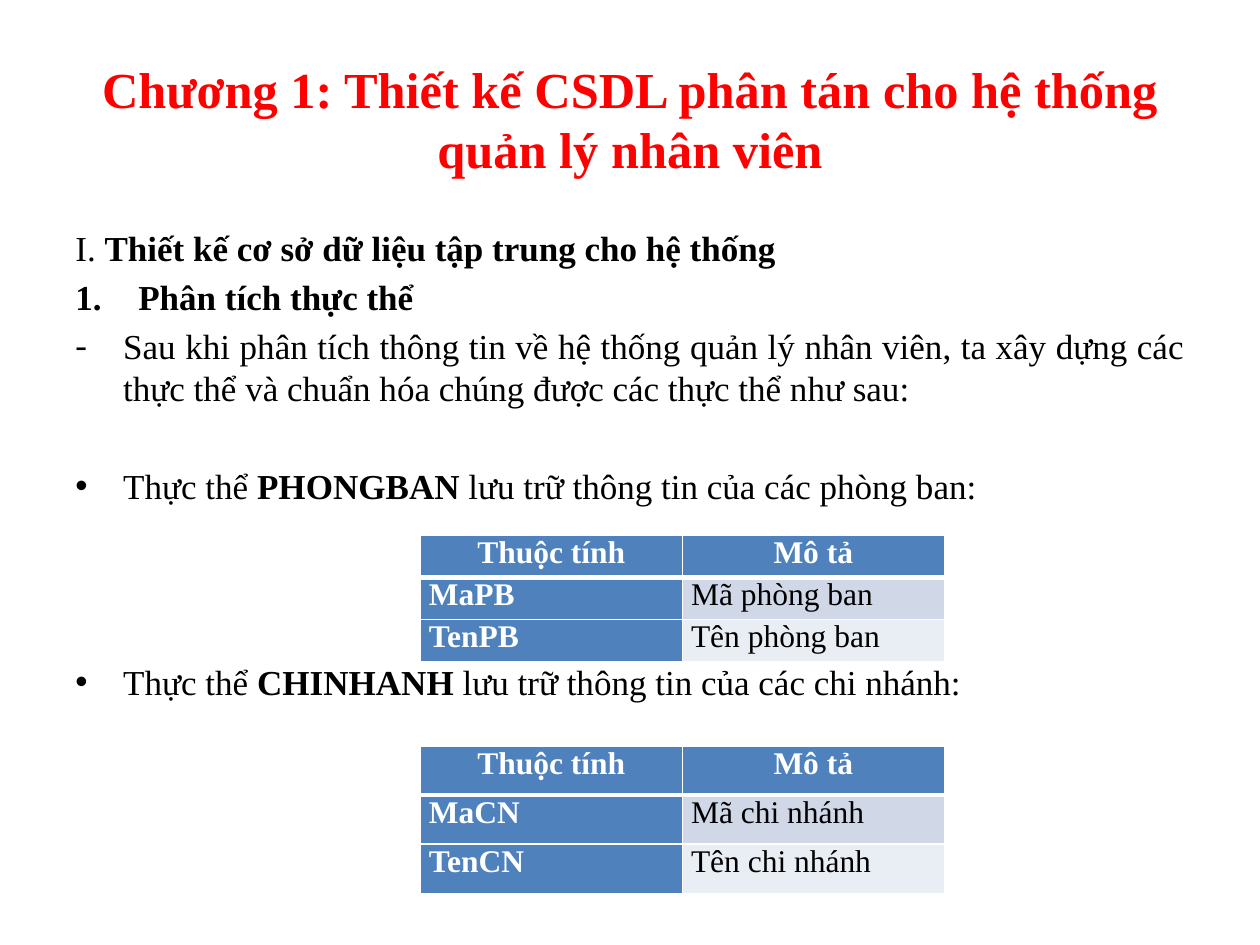
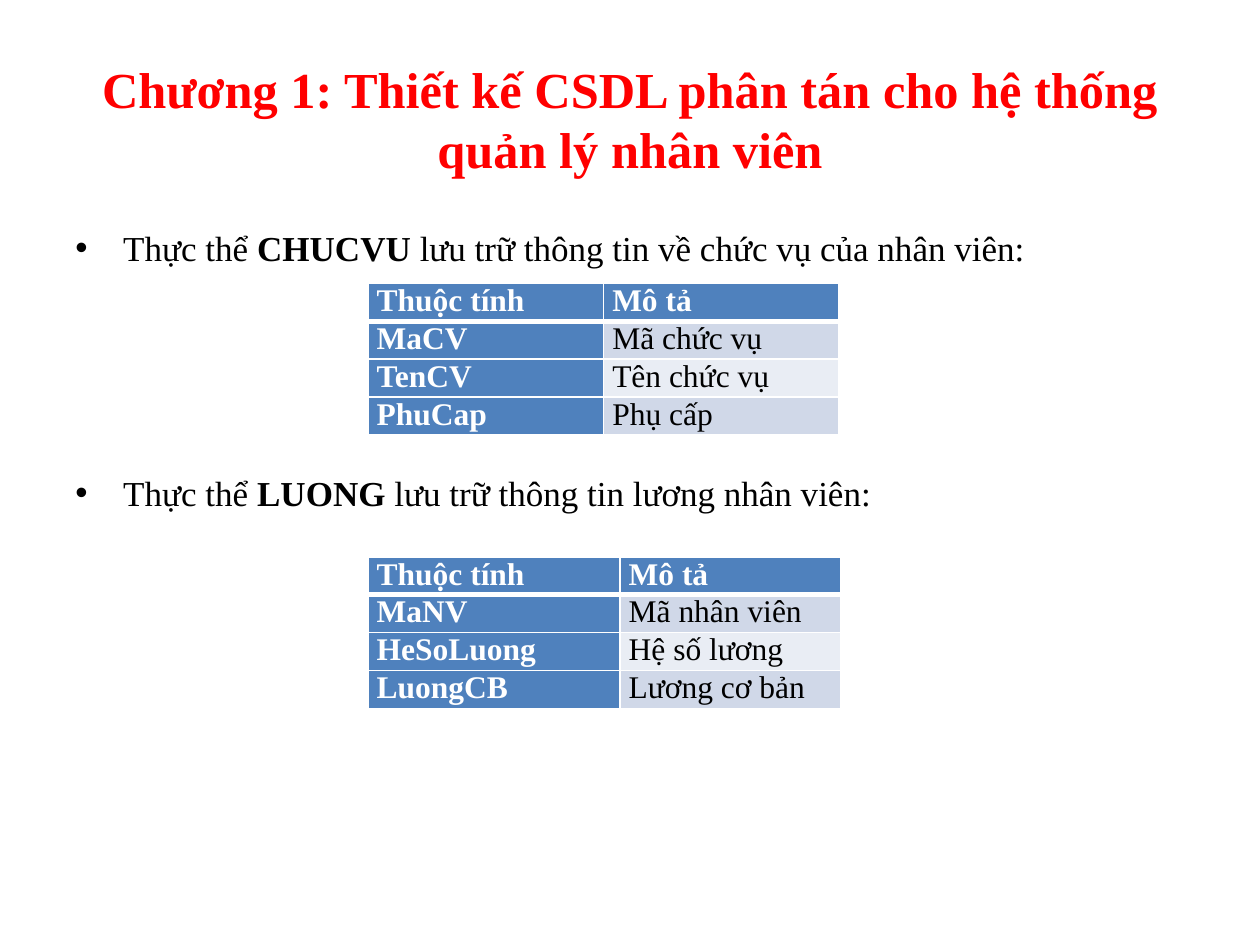
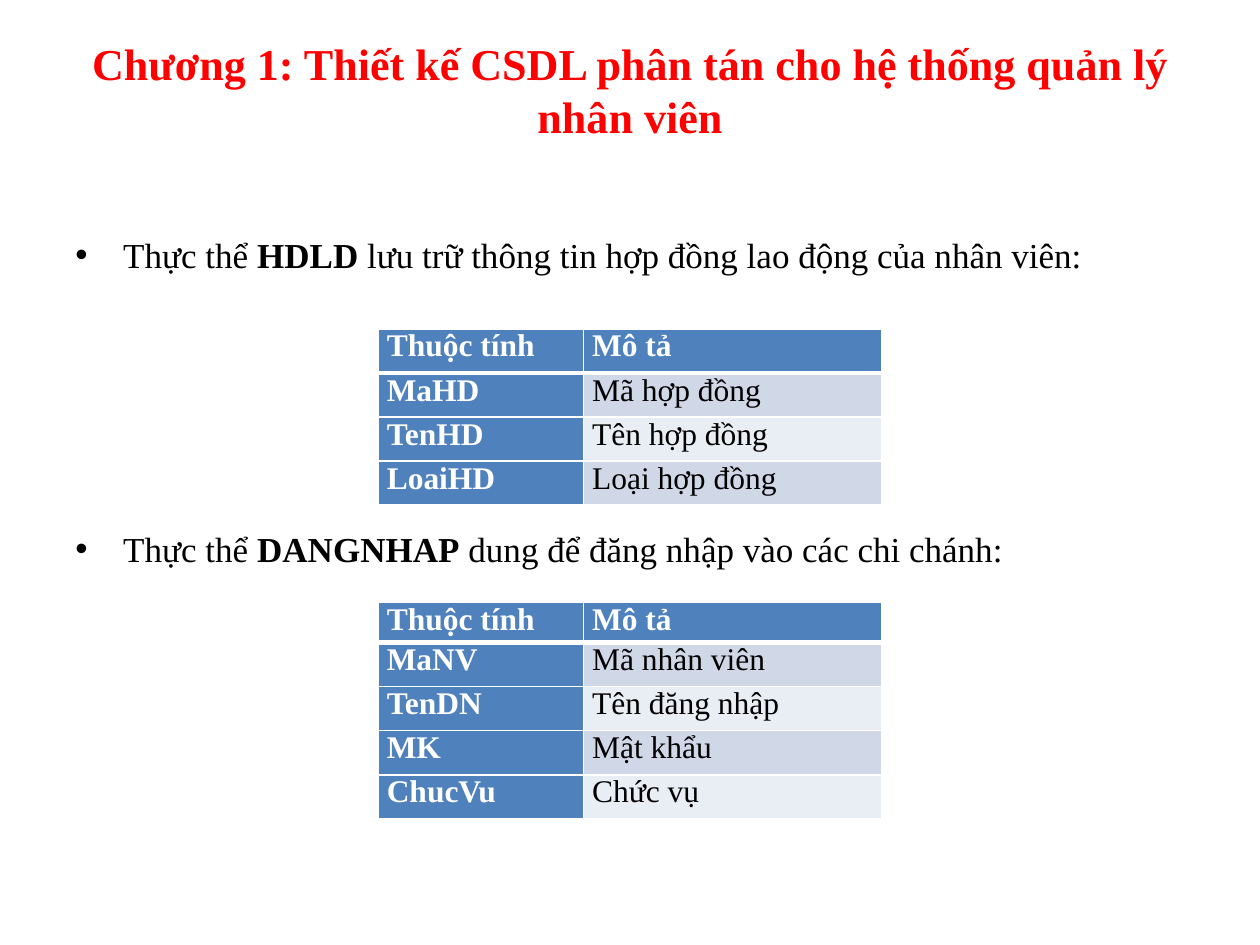
from lxml.etree import SubElement, fromstring
from pptx import Presentation
from pptx.dml.color import RGBColor
from pptx.enum.text import PP_ALIGN
from pptx.oxml.ns import qn
from pptx.util import Inches, Pt

# Shared look
FONT = "Times New Roman"
RED, BLACK, WHITE = "FF0000", "000000", "FFFFFF"
BLUE, DARK, PALE = "4F81BD", "D0D8E8", "E9EDF4"
LINE, GAP = 28, 4  # points: body line pitch, space above a paragraph
TITLE = "Chương 1: Thiết kế CSDL phân tán cho hệ thống quản lý nhân viên"
HEAD = ("Thuộc tính", "Mô tả")
MID, LEFT, JUST = PP_ALIGN.CENTER, PP_ALIGN.LEFT, PP_ALIGN.JUSTIFY
NS = "http://schemas.openxmlformats.org/drawingml/2006/main"


def text(par, words, size=20, color=BLACK, bold=False, align=LEFT,
         above=0, mark=None):
    """Fill a paragraph; words between asterisks turn bold."""
    par.alignment = align
    par.space_before = Pt(above)
    for i, part in enumerate(words.split("*")):
        if part:
            run = par.add_run()
            run.text = part
            run.font.name = FONT
            run.font.size = Pt(size)
            run.font.bold = bold or i % 2 == 1
            run.font.color.rgb = RGBColor.from_string(color)
    if mark:
        prop = par._p.get_or_add_pPr()
        step = Inches(0.5 if mark == "1." else 0.38)
        prop.set("marL", str(step))
        prop.set("indent", str(-step))
        if mark == "1.":
            SubElement(prop, qn("a:buFont"), typeface="+mj-lt")
            SubElement(prop, qn("a:buAutoNum"), type="arabicPeriod")
        else:
            face = "Arial" if mark == "•" else FONT
            SubElement(prop, qn("a:buFont"), typeface=face)
            SubElement(prop, qn("a:buChar"), char=mark)


def edge(cell, **sides):
    """Draw white cell borders, each side given its width in points."""
    prop = cell._tc.get_or_add_tcPr()
    for i, (side, width) in enumerate(sides.items()):
        prop.insert(i, fromstring(
            f'<a:ln{side} xmlns:a="{NS}" w="{Pt(width)}"><a:solidFill>'
            f'<a:srgbClr val="{WHITE}"/></a:solidFill></a:ln{side}>'))


# Body lines: (mark, blank lines above, words)
# Tables: (left, top, height, column widths, row heights, header alignment,
# rows)
slides = [
    dict(size=28.8, drop=0.16, top=1.75, tall=5.17, align=JUST, body=[
        (None, 0, "I. *Thiết kế cơ sở dữ liệu tập trung cho hệ thống*"),
        ("1.", 0, "*Phân tích thực thể*"),
        ("-", 0, "Sau khi phân tích thông tin về hệ thống quản lý nhân viên, "
                 "ta xây dựng các thực thể và chuẩn hóa chúng được các "
                 "thực thể như sau:"),
        ("•", 1, "Thực thể *PHONGBAN *lưu trữ thông tin của các phòng ban:"),
        ("•", 3, "Thực thể *CHINHANH *lưu trữ thông tin của các chi nhánh:"),
    ], tables=[
        (3.335, 4.25, 1, (2.08, 2.08), [1 / 3] * 3, MID,
         [("MaPB", "Mã phòng ban"), ("TenPB", "Tên phòng ban")]),
        (3.335, 5.92, 1.18, (2.08, 2.08), [0.39] * 3, MID,
         [("MaCN", "Mã chi nhánh"), ("TenCN", "Tên chi nhánh")]),
    ]),
    dict(size=28.8, drop=0.16, top=1.75, tall=5.67, align=LEFT, body=[
        ("•", 0, "Thực thể *CHUCVU *lưu trữ thông tin về chức vụ "
                 "của nhân viên:"),
        ("•", 4, "Thực thể *LUONG *lưu trữ thông tin lương nhân viên:"),
    ], tables=[
        (2.92, 2.25, 1.2, (1.87, 1.87), [0.29] * 4, LEFT,
         [("MaCV", "Mã chức vụ"), ("TenCV", "Tên chức vụ"),
          ("PhuCap", "Phụ cấp")]),
        (2.92, 4.42, 1.2, (2, 1.75), [0.17] + [0.25] * 3, LEFT,
         [("MaNV", "Mã nhân viên"), ("HeSoLuong", "Hệ số lương"),
          ("LuongCB", "Lương cơ bản")]),
    ]),
    dict(size=25.2, drop=-0.01, top=1.8, tall=5.45, align=LEFT, body=[
        ("•", 0, "Thực thể *HDLD *lưu trữ thông tin hợp đồng lao động "
                 "của nhân viên:"),
        ("•", 5, "Thực thể *DANGNHAP* dung để đăng nhập vào các chi chánh:"),
    ], tables=[
        (3, 2.61, 1.39, (1.63, 2.37), [0.35] * 4, LEFT,
         [("MaHD", "Mã hợp đồng"), ("TenHD", "Tên hợp đồng"),
          ("LoaiHD", "Loại hợp đồng")]),
        (3, 4.78, 1.71, (1.63, 2.37), [0.32] + [0.35] * 4, LEFT,
         [("MaNV", "Mã nhân viên"), ("TenDN", "Tên đăng nhập"),
          ("MK", "Mật khẩu"), ("ChucVu", "Chức vụ")]),
    ]),
]

deck = Presentation()
deck.slide_width, deck.slide_height = Inches(10), Inches(7.5)

for data in slides:
    slide = deck.slides.add_slide(deck.slide_layouts[6])

    # Title
    box = slide.shapes.add_textbox(Inches(0.5), Inches(0.3 + data["drop"]),
                                   Inches(9), Inches(1.25))
    frame = box.text_frame
    frame.word_wrap = True
    frame.margin_top = 0
    text(frame.paragraphs[0], TITLE, size=data["size"], color=RED,
         bold=True, align=MID)

    # Body
    box = slide.shapes.add_textbox(Inches(0.5), Inches(data["top"]),
                                   Inches(9), Inches(data["tall"]))
    frame = box.text_frame
    frame.word_wrap = True
    for i, (mark, blank, words) in enumerate(data["body"]):
        par = frame.add_paragraph() if i else frame.paragraphs[0]
        text(par, words, align=data["align"], mark=mark,
             above=GAP + LINE * blank)

    # Tables
    for left, top, high, cols, tall, align, rows in data["tables"]:
        shape = slide.shapes.add_table(
            len(tall), len(cols), Inches(left), Inches(top),
            Inches(sum(cols)), Inches(high))
        grid = shape.table
        for c, width in enumerate(cols):
            grid.columns[c].width = Inches(width)
        for r, row in enumerate([HEAD] + rows):
            grid.rows[r].height = Inches(tall[r])
            for c, words in enumerate(row):
                cell = grid.cell(r, c)
                key = r == 0 or c == 0
                cell.margin_left = cell.margin_right = Inches(0.07)
                cell.margin_top = cell.margin_bottom = 0
                shade = BLUE if key else DARK if r % 2 else PALE
                cell.fill.solid()
                cell.fill.fore_color.rgb = RGBColor.from_string(shade)
                edge(cell, L=1, R=1, T=3 if r == 1 else 1,
                     B=3 if r == 0 else 1)
                text(cell.text_frame.paragraphs[0], words, size=18,
                     color=WHITE if key else BLACK, bold=key,
                     align=align if r == 0 else LEFT)
        shape.height = Inches(high)

deck.save("out.pptx")
